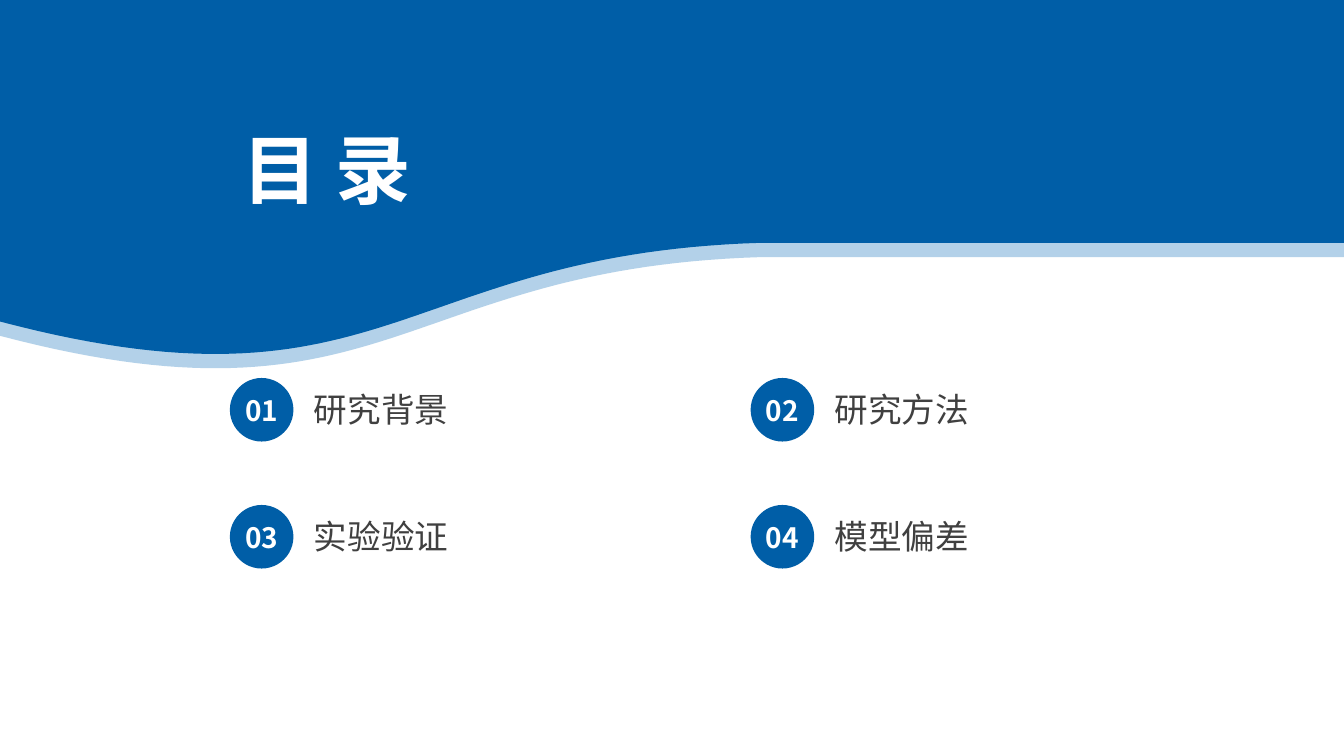
from lxml.etree import SubElement
from pptx import Presentation
from pptx.dml.color import RGBColor
from pptx.enum.shapes import MSO_SHAPE as Preset
from pptx.enum.text import MSO_ANCHOR as Anchor, PP_ALIGN as Align
from pptx.oxml.ns import qn
from pptx.util import Pt

COLORS = {"blue": "005EA7", "light": "68A5D4", "white": "FFFFFF", "text": "404040"}
WIDTH, HEIGHT = 960, 540
TOPICS = ["研究背景", "研究方法", "实验验证", "模型偏差"]
COLUMNS = 2
COLUMN_STEP, ROW_STEP = 372, 90.7
WAVE_CURVE = [(543, 173.5), (284.4, 181.4), (275.8, 302.4), (0, 229.7)]
WAVE_STEPS = 60


def bezier(points, steps):
    """Return points along a cubic curve, both ends included."""
    curve = []
    for step in range(steps + 1):
        t = step / steps
        weights = ((1 - t) ** 3, 3 * t * (1 - t) ** 2, 3 * t**2 * (1 - t), t**3)
        curve.append(tuple(sum(w * point[axis] for w, point in zip(weights, points))
                           for axis in (0, 1)))
    return curve


class SlideBuilder:
    latin = "Arial"
    east_asian = "Noto Sans CJK SC"

    def __init__(self, slide):
        self.shapes = slide.shapes

    def paint(self, shape, color, opacity=100):
        shape.shadow.inherit = False
        shape.line.fill.background()
        shape.fill.solid()
        shape.fill.fore_color.rgb = RGBColor.from_string(COLORS[color])
        if opacity < 100:
            color_element = shape.fill._xPr.find(".//" + qn("a:srgbClr"))
            SubElement(color_element, qn("a:alpha"), val=str(opacity * 1000))

    def circle(self, left, top, size, color):
        shape = self.shapes.add_shape(Preset.OVAL, Pt(left), Pt(top), Pt(size), Pt(size))
        self.paint(shape, color)

    def wave(self, top, color, opacity=100):
        """Draw the header band with its curved lower edge."""
        outline = [(0, 0), (WIDTH, 0), (WIDTH, 173.5)] + bezier(WAVE_CURVE, WAVE_STEPS)
        points = [(Pt(x), Pt(y + top)) for x, y in outline]
        builder = self.shapes.build_freeform(*points[0], scale=1.0)
        builder.add_line_segments(points[1:], close=True)
        self.paint(builder.convert_to_shape(), color, opacity)

    def text(self, words, left, top, width, height, size, color,
             bold=False, align=Align.LEFT, latin=None):
        box = self.shapes.add_textbox(Pt(left), Pt(top), Pt(width), Pt(height))
        frame = box.text_frame
        frame.word_wrap = True
        frame.vertical_anchor = Anchor.MIDDLE
        frame.text = words
        paragraph = frame.paragraphs[0]
        paragraph.alignment = align
        run = paragraph.runs[0]
        run.font.size = Pt(size)
        run.font.bold = bold
        run.font.color.rgb = RGBColor.from_string(COLORS[color])
        run.font.name = latin or self.latin
        SubElement(run.font._element, qn("a:ea"), typeface=self.east_asian)

    def topic(self, number, title, left, top):
        """Draw a numbered badge with its title to the right."""
        self.circle(left, top, 45.4, "blue")
        self.text(f"{number:02d}", left + 2.2, top + 7.2, 41, 31.5, 20, "white",
                  bold=True, align=Align.CENTER, latin=self.east_asian)
        self.text(title, left + 53, top + 4.3, 206.6, 36, 24, "text")


def main():
    presentation = Presentation()
    presentation.slide_width, presentation.slide_height = Pt(WIDTH), Pt(HEIGHT)
    slide = presentation.slides.add_slide(presentation.slide_layouts[6])
    builder = SlideBuilder(slide)
    for index, title in enumerate(TOPICS):
        row, column = divmod(index, COLUMNS)
        builder.topic(index + 1, title, 164.2 + column * COLUMN_STEP, 270 + row * ROW_STEP)
    builder.wave(10.2, "light", opacity=50)
    builder.wave(0, "blue")
    builder.text("目 录", 166.3, 83.5, 137.5, 72.7, 54, "white", bold=True)
    presentation.save("out.pptx")


if __name__ == "__main__":
    main()
